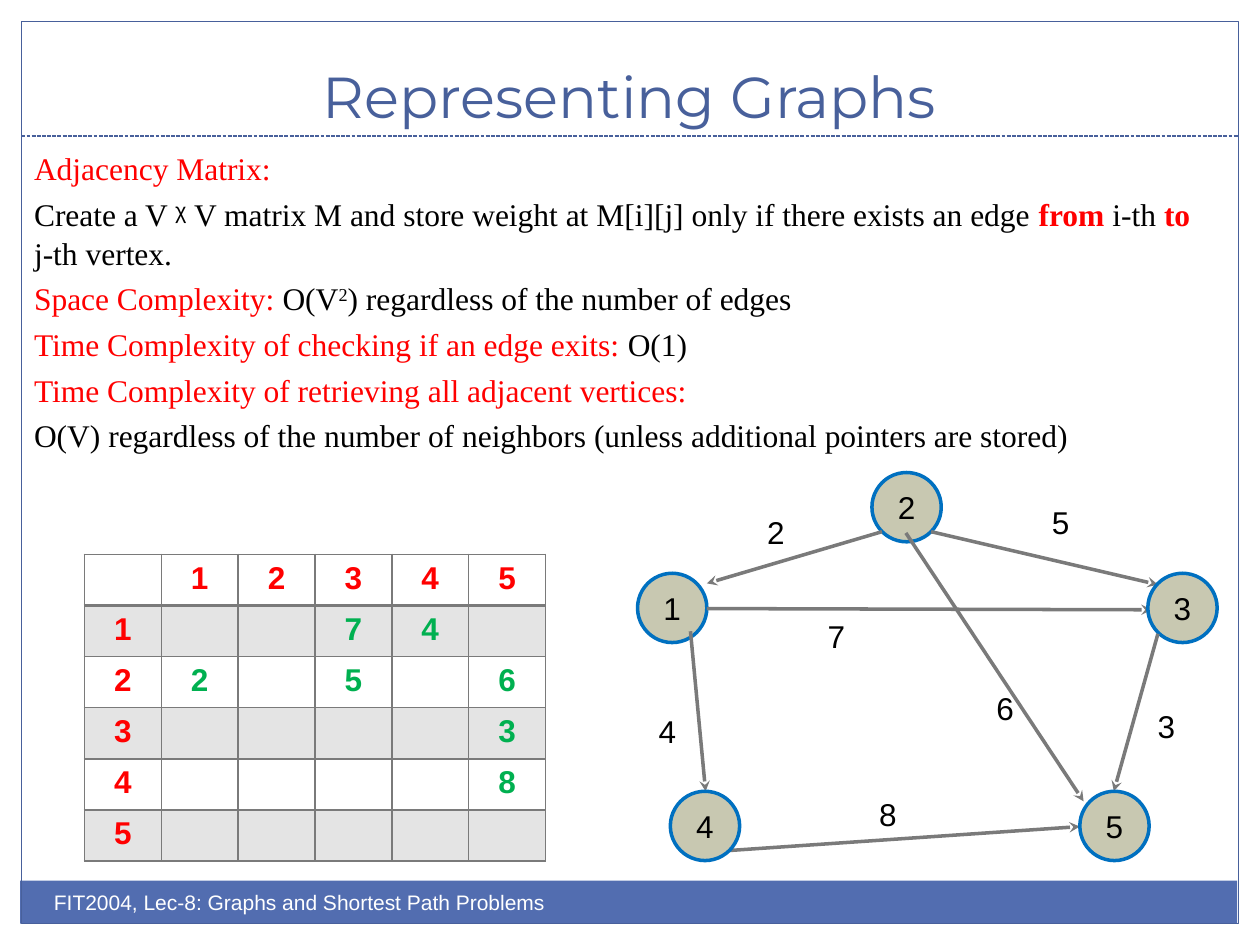
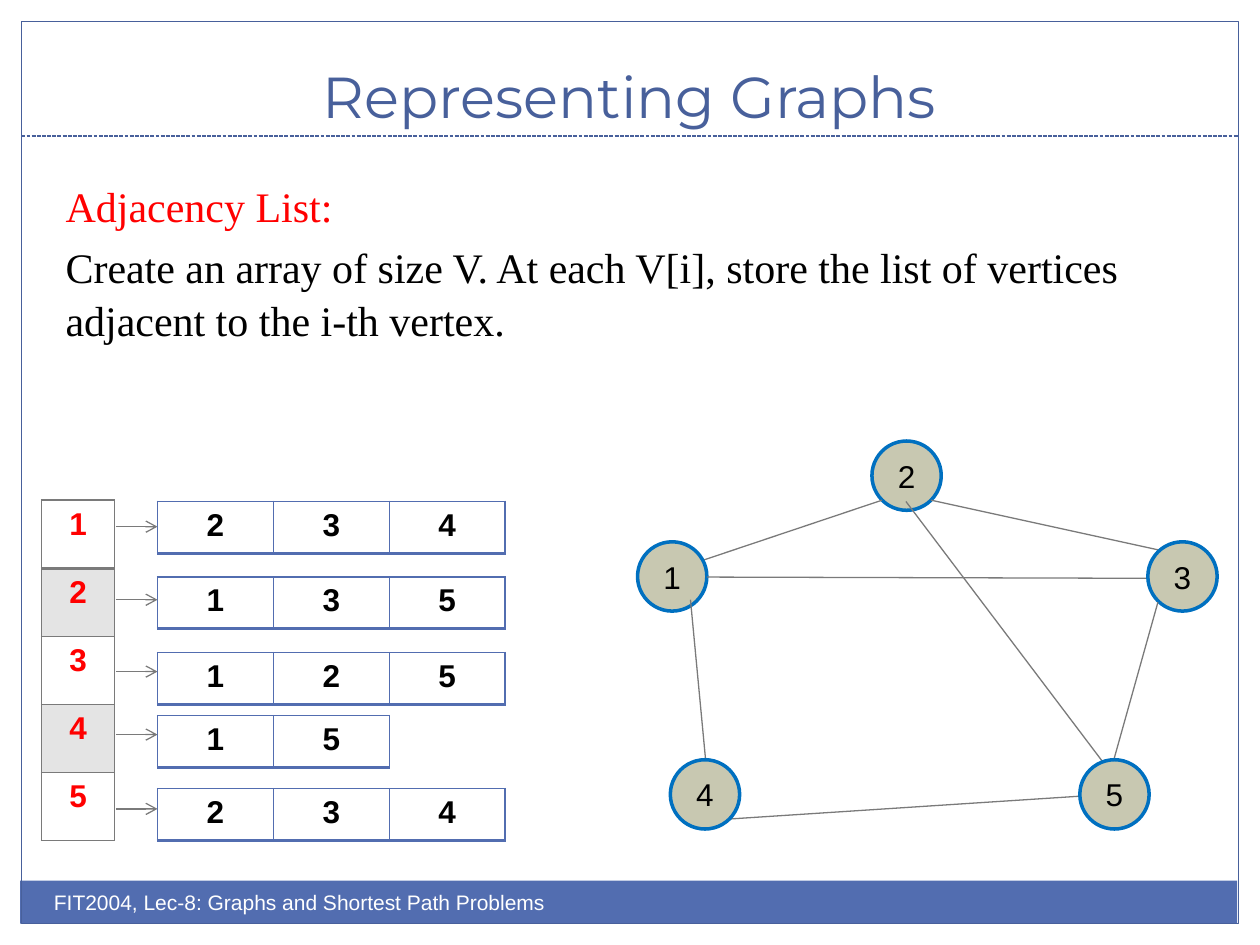
from dataclasses import dataclass

from lxml import etree
from pptx import Presentation
from pptx.dml.color import RGBColor
from pptx.enum.dml import MSO_LINE
from pptx.enum.shapes import MSO_CONNECTOR, MSO_SHAPE
from pptx.enum.text import MSO_ANCHOR, MSO_AUTO_SIZE, PP_ALIGN
from pptx.oxml.ns import qn
from pptx.util import Emu, Pt

PX = 9144
LINE = MSO_CONNECTOR.STRAIGHT
RECT, OVAL = MSO_SHAPE.RECTANGLE, MSO_SHAPE.OVAL
DASH = MSO_LINE.SQUARE_DOT
LEFT, MID = PP_ALIGN.LEFT, PP_ALIGN.CENTER
LOW, CENTRE = MSO_ANCHOR.BOTTOM, MSO_ANCHOR.MIDDLE
FIXED, GROW = MSO_AUTO_SIZE.NONE, MSO_AUTO_SIZE.SHAPE_TO_FIT_TEXT


@dataclass(frozen=True)
class Theme:
    """Colours, fonts and type sizes of the deck."""
    ink: str = "000000"
    paper: str = "FFFFFF"
    title: str = "48609B"
    band: str = "526DB0"
    key: str = "FF0000"
    value: str = "00B050"
    grey: str = "7A7A7A"
    tint: str = "E4E4E4"
    node: str = "C8C8B1"
    ring: str = "0070C0"
    head: str = "Montserrat"
    serif: str = "Times New Roman"
    sans: str = "Arial"
    big: int = 33
    lead: int = 24
    text: int = 18
    small: int = 12
    thin: float = 0.75
    thick: float = 2


T = Theme()
DIAM = 55
NODES = {2: (186, 0), 1: (0, 80), 3: (405, 80), 4: (26, 253), 5: (351, 253)}
STARTS = {
    2: {1: (194, 47), 3: (233, 47)},
    1: {4: (42, 126), 3: (55, 108)},
    4: {5: (73, 300)},
    3: {5: (413, 128)},
}
DIAGONAL = (213, 48)
ORDER = {2: [(2, 1), (2, 3)], 1: [(1, 4), (4, 5), (1, 3)], 3: [(3, 5), (2, 5)]}
ENDS = {(1, 4): (54, 253), (1, 3): (408, 109), (3, 5): (378, 253)}
DIRECTED = ENDS | {(2, 1): (55, 88), (2, 3): (413, 89), (4, 5): (351, 281), (2, 5): (354, 261)}
PLAIN = ENDS | {(2, 1): (27, 103), (2, 3): (425, 89), (4, 5): (365, 281), (2, 5): (374, 261)}
WEIGHTS = {4: (7, 185), 8: (182, 251), 7: (141, 110), 6: (275, 167),
           3: (403, 181), 2: (93, 27), 5: (319, 19)}
MATRIX = [
    ["", "1", "2", "3", "4", "5"],
    ["1", "", "", "7", "4", ""],
    ["2", "2", "", "5", "", "6"],
    ["3", "", "", "", "", "3"],
    ["4", "", "", "", "", "8"],
    ["5", "", "", "", "", ""],
]
LISTS = [("234", 0, 20), ("135", 60, 78), ("125", 120, 135), ("15", 170, 185), ("234", 228, 244)]
MATRIX_TEXT = [
    [("Adjacency Matrix:", "key")],
    [("Create a V ", ""), ("ᵡ", "sans"),
     (" V matrix M and store weight at M[i][j] only if there exists an edge ", ""),
     ("from ", "key bold"), ("i-th ", ""), ("to ", "key bold"), ("j-th vertex.", "")],
    [("Space Complexity: ", "key"), ("O(V", ""), ("2", "super"),
     (") regardless of the number of edges", "")],
    [("Time Complexity of checking if an edge exits: ", "key"), ("O(1)", "")],
    [("Time Complexity of retrieving all adjacent vertices:", "key")],
    [("O(V) regardless of the number of neighbors (unless additional pointers are stored)", "")],
]
LIST_TEXT = [
    [("Adjacency List:", "key")],
    [("Create an array of size V. At each V[i], store the list of vertices "
      "adjacent to the i-th vertex.", "")],
]


def px(*nums):
    """Turn px into EMU."""
    return [Emu(n * PX) for n in nums]


def rgb(code):
    """Give the colour for a hex code."""
    return RGBColor.from_string(code)


def style(run, size, colour, face, bold=False):
    """Format one run."""
    font = run.font
    font.size, font.name, font.bold = Pt(size), face, bold
    font.color.rgb = rgb(colour)


def write(frame, text, size, colour, face, align=LEFT):
    """Put one formatted line in a text frame."""
    frame.text = text
    para = frame.paragraphs[0]
    para.alignment = align
    for run in para.runs:
        style(run, size, colour, face)


def place(shape, box):
    """Move a shape to a box."""
    shape.left, shape.top, shape.width, shape.height = px(*box)


def shape(slide, kind, box, fill=None, edge=None, width=T.thin):
    """Add a flat preset shape."""
    item = slide.shapes.add_shape(kind, *px(*box))
    item.shadow.inherit = False
    if fill:
        item.fill.solid()
        item.fill.fore_color.rgb = rgb(fill)
    else:
        item.fill.background()
    if edge:
        item.line.color.rgb = rgb(edge)
        item.line.width = Pt(width)
    else:
        item.line.fill.background()
    return item


def line(slide, start, end, colour=T.grey, width=T.thin, tip=None):
    """Add a straight line with an optional arrowhead."""
    item = slide.shapes.add_connector(LINE, *px(*start, *end))
    item.line.color.rgb = rgb(colour)
    item.line.width = Pt(width)
    if tip:
        etree.SubElement(item.line._get_or_add_ln(), qn("a:tailEnd"), type=tip)
    etree.SubElement(item._element.spPr, qn("a:effectLst"))
    return item


def label(slide, box, text, size, colour, wrap=False):
    """Add a line of text in a box."""
    item = slide.shapes.add_textbox(*px(*box))
    frame = item.text_frame
    frame.word_wrap = wrap
    frame.auto_size = FIXED if wrap else GROW
    write(frame, text, size, colour, T.sans)


def base(deck, title):
    """Start a slide with its frame, band, footer and title."""
    slide = deck.slides.add_slide(deck.slide_layouts[1])
    shape(slide, RECT, (16, 699, 966, 34), fill=T.band)
    shape(slide, RECT, (17, 17, 966, 716), edge=T.title)
    line(slide, (17, 108), (983, 108), T.title).line.dash_style = DASH
    head = slide.shapes.title
    place(head, (33, 25, 933, 83))
    head.text_frame.auto_size = FIXED
    head.text_frame.vertical_anchor = LOW
    write(head.text_frame, title, T.big, T.title, T.head, MID)
    label(slide, (33, 701, 500, 40), "FIT2004, Lec-8: Graphs and Shortest Path Problems",
          T.small, T.paper, True)
    return slide


def body(slide, box, paras, size):
    """Fill the body placeholder with marked runs."""
    item = slide.placeholders[1]
    place(item, box)
    frame = item.text_frame
    frame.auto_size = FIXED
    for i, spans in enumerate(paras):
        para = frame.add_paragraph() if i else frame.paragraphs[0]
        props = para._p.get_or_add_pPr()
        props.set("marL", "0")
        props.set("indent", "0")
        etree.SubElement(props, qn("a:buNone"))
        para.space_before = Pt(size * 0.2 if i else 0)
        para.line_spacing = 1.04
        for text, mark in spans:
            run = para.add_run()
            run.text = text
            style(run, size, T.key if "key" in mark else T.ink,
                  T.sans if mark == "sans" else T.serif, "bold" in mark)
            if mark == "super":
                run._r.get_or_add_rPr().set("baseline", "30000")


def border(cell, row, edge):
    """Draw a cell's sides, heavier under the first row."""
    props = cell._tc.get_or_add_tcPr()
    for side in "LRTB":
        heavy = (side, row) in (("B", 0), ("T", 1))
        ln = etree.SubElement(props, qn(f"a:ln{side}"), w=str(Pt(2 if heavy else 1)))
        fill = etree.SubElement(ln, qn("a:solidFill"))
        etree.SubElement(fill, qn("a:srgbClr"), val=edge)


def grid(slide, box, rows, edge, key, value):
    """Add a banded table with coloured first row and column."""
    table = slide.shapes.add_table(len(rows), len(rows[0]), *px(*box)).table
    for r, row in enumerate(rows):
        for c, text in enumerate(row):
            cell = table.cell(r, c)
            border(cell, r, edge)
            cell.fill.solid()
            cell.fill.fore_color.rgb = rgb(T.tint if r % 2 else T.paper)
            write(cell.text_frame, text, T.text, value if r and c else key, T.sans, MID)
            for run in cell.text_frame.paragraphs[0].runs:
                run.font.bold = True


def graph(slide, box, ends, width, tip=None):
    """Draw the five vertices and their edges from a corner."""
    x, y = box
    for name, (dx, dy) in NODES.items():
        node = shape(slide, OVAL, (x + dx, y + dy, DIAM, DIAM), T.node, T.ring, T.thick)
        frame = node.text_frame
        frame.margin_left = frame.margin_right = frame.margin_top = frame.margin_bottom = 0
        frame.vertical_anchor = CENTRE
        write(frame, str(name), T.text, T.ink, T.sans, MID)
        for a, b in ORDER.get(name, []):
            sx, sy = STARTS[a].get(b, DIAGONAL)
            ex, ey = ends[a, b]
            line(slide, (x + sx, y + sy), (x + ex, y + ey), width=width, tip=tip)


def weights(slide, box):
    """Label the edges of the graph."""
    x, y = box
    for num, (dx, dy) in WEIGHTS.items():
        label(slide, (x + dx, y + dy, 34, 40), str(num), T.text, T.ink)


def lists(slide, box):
    """Draw the vertex array with an arrow to each list."""
    x, y = box
    grid(slide, (x, y, 58, 270), list("12345"), T.grey, T.key, T.key)
    for items, top, mid in LISTS:
        grid(slide, (x + 92, y + 1 + top, 92 * len(items), 41), [items], T.band, T.ink, T.ink)
        line(slide, (x + 59, y + 1 + mid), (x + 92, y + 1 + mid), tip="arrow")


def matrix(deck):
    """Build the adjacency matrix slide."""
    slide = base(deck, "Representing Graphs")
    body(slide, (17, 112, 942, 200), MATRIX_TEXT, T.text)
    grid(slide, (67, 440, 366, 243), MATRIX, T.grey, T.key, T.value)
    spot = (506, 375)
    graph(slide, spot, DIRECTED, T.thick, "stealth")
    weights(slide, spot)


def adjacent(deck):
    """Build the adjacency list slide."""
    slide = base(deck, "Representing Graphs")
    body(slide, (42, 137, 942, 500), LIST_TEXT, T.lead)
    graph(slide, (506, 350), PLAIN, T.thin)
    lists(slide, (33, 397))


def main():
    """Build and save the deck."""
    deck = Presentation()
    deck.slide_width, deck.slide_height = px(1000, 750)
    matrix(deck)
    adjacent(deck)
    deck.save("out.pptx")


if __name__ == "__main__":
    main()
